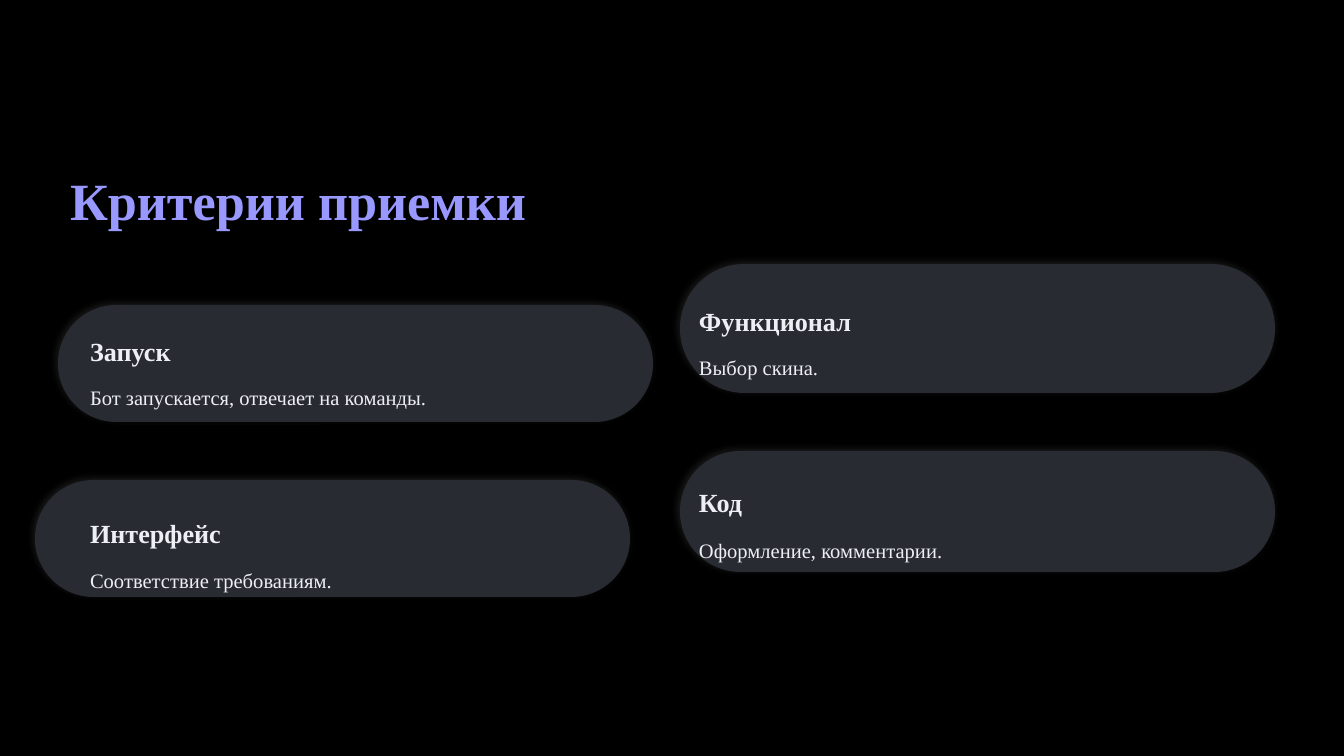
from lxml.etree import fromstring
from pptx import Presentation
from pptx.dml.color import RGBColor
from pptx.enum.shapes import MSO_SHAPE
from pptx.oxml.ns import nsdecls
from pptx.util import Pt

PX = 914400 / 134.4
FONT = "Times New Roman"
BLACK = RGBColor(0x00, 0x00, 0x00)
VIOLET = RGBColor(0x99, 0x98, 0xFF)
SLATE = RGBColor(0x28, 0x2C, 0x32)
PALE = RGBColor(0xEE, 0xEF, 0xF5)

TITLE = "Критерии приемки"
CARD_WIDTH = 595
# heading, body, card (left, top, height), text left, heading top, body top
CARDS = [
    ("Запуск", "Бот запускается, отвечает на команды.", (58, 305, 117), 90, 327, 371),
    ("Функционал", "Выбор скина.", (680, 264, 129), 699, 297, 341),
    ("Интерфейс", "Соответствие требованиям.", (35, 480, 117), 90, 509, 553),
    ("Код", "Оформление, комментарии.", (680, 451, 121), 699, 478, 523),
]
GLOW = f"""<a:effectLst {nsdecls("a")}>
  <a:outerShdw blurRad="{Pt(4.2)}" dist="{Pt(2.1)}" dir="{225 * 60000}" algn="bl" rotWithShape="0">
    <a:srgbClr val="FFFFFF"><a:alpha val="10000"/></a:srgbClr>
  </a:outerShdw>
</a:effectLst>"""


def emu(*lengths):
    return [round(n * PX) for n in lengths]


def add_text(slide, text, box, size, spacing, color=PALE, bold=False):
    tf = slide.shapes.add_textbox(*emu(*box)).text_frame
    tf.word_wrap = True
    tf.margin_left = tf.margin_top = tf.margin_right = tf.margin_bottom = 0
    p = tf.paragraphs[0]
    p.line_spacing = spacing
    r = p.add_run()
    r.text = text
    r.font.name = FONT
    r.font.size = Pt(size)
    r.font.bold = bold
    r.font.color.rgb = color


def add_card(slide, left, top, height):
    """Draw a pill with a faint white glow at its upper left."""
    sp = slide.shapes.add_shape(
        MSO_SHAPE.ROUNDED_RECTANGLE, *emu(left, top, CARD_WIDTH, height))
    sp.adjustments[0] = 0.9
    sp.fill.solid()
    sp.fill.fore_color.rgb = SLATE
    sp.line.fill.background()
    sp._element.spPr.append(fromstring(GLOW))


def main():
    prs = Presentation()
    prs.slide_width, prs.slide_height = emu(1344, 756)
    slide = prs.slides.add_slide(prs.slide_layouts[6])
    slide.background.fill.solid()
    slide.background.fill.fore_color.rgb = BLACK

    add_text(slide, TITLE, (70, 152, 535, 66), 28, 1.26, VIOLET, bold=True)
    for heading, body, card, left, heading_top, body_top in CARDS:
        add_card(slide, *card)
        add_text(slide, heading, (left, heading_top, 262, 32), 14, 1.27, bold=True)
        add_text(slide, body, (left, body_top, 555, 32), 11, 1.59)
    prs.save("out.pptx")


if __name__ == "__main__":
    main()
